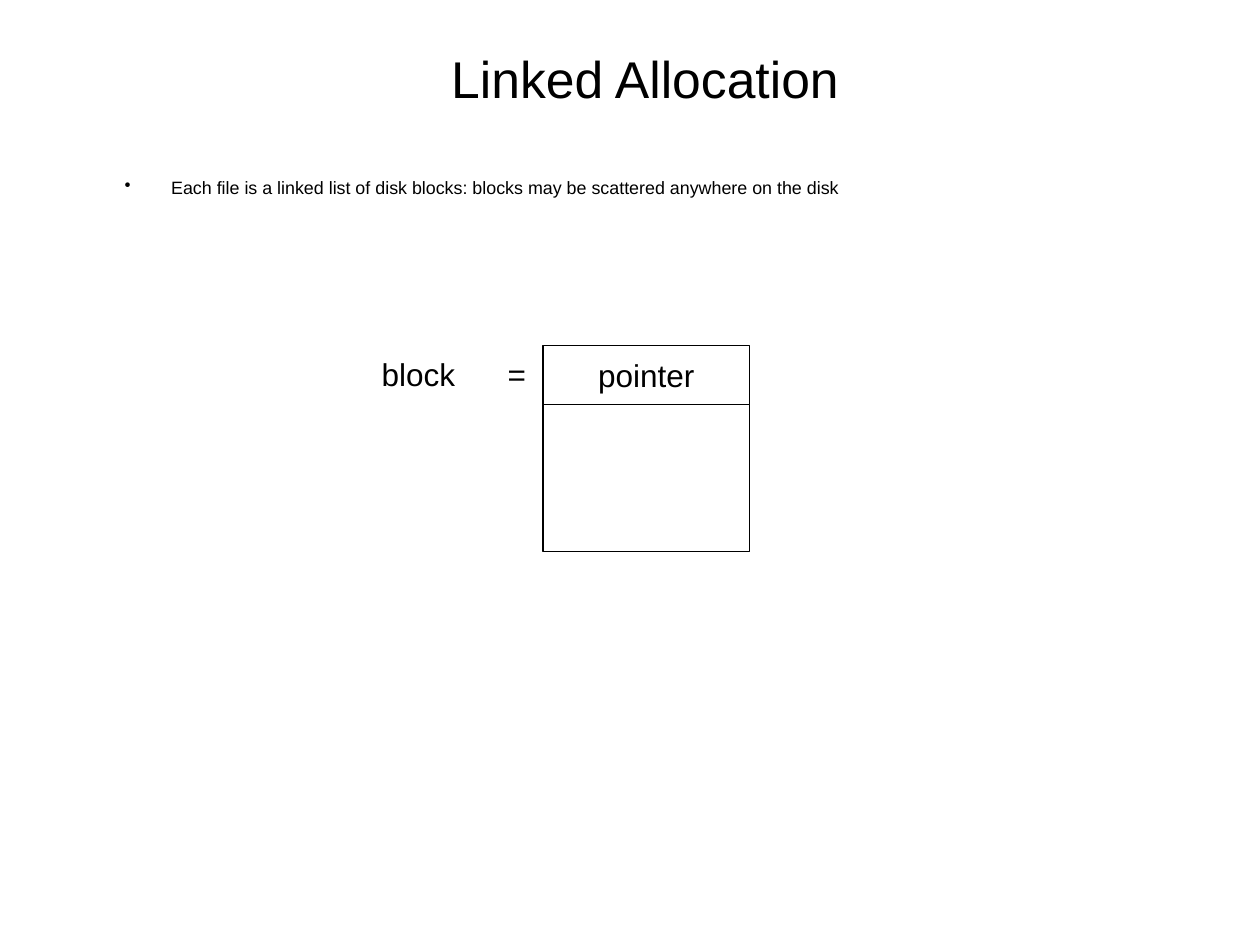
import pptx
import pptx.util
import pptx.dml.color
import pptx.enum.shapes
import pptx.enum.text
import lxml.etree

WIDTH, HEIGHT = 10, 7.5
INK, PAPER, FONT = "000000", "FFFFFF", "Arial"
TITLE = "Linked Allocation"
BULLET = "Each file is a linked list of disk blocks: blocks may be scattered anywhere on the disk"
BLOCK_LABEL = "block\t="
BLOCK_LEFT, BLOCK_TOP, BLOCK_WIDTH = 4.31, 2.74, 1.64
BLOCK_PARTS = [("pointer", 0.47), ("", 1.17)]

presentation = pptx.Presentation()
presentation.slide_width = pptx.util.Inches(WIDTH)
presentation.slide_height = pptx.util.Inches(HEIGHT)
slide = presentation.slides.add_slide(presentation.slide_layouts[6])


def color(value):
    return pptx.dml.color.RGBColor.from_string(value)


def inches(*values):
    return [pptx.util.Inches(value) for value in values]


def add_child(parent, tag, **attributes):
    name = pptx.oxml.ns.qn(tag)
    return lxml.etree.SubElement(parent, name, attributes)


def write(shape, text, size, align="CENTER", anchor="MIDDLE", before=0, wrap=True):
    frame = shape.text_frame
    frame.word_wrap = wrap
    frame.vertical_anchor = getattr(pptx.enum.text.MSO_ANCHOR, anchor)
    paragraph = frame.paragraphs[0]
    paragraph.alignment = getattr(pptx.enum.text.PP_ALIGN, align)
    paragraph.space_before = pptx.util.Pt(before)
    run = paragraph.add_run()
    run.text = text
    run.font.size = pptx.util.Pt(size)
    run.font.name = FONT
    run.font.color.rgb = color(INK)
    return paragraph


def add_text(place, text, size, **options):
    box = slide.shapes.add_textbox(*inches(*place))
    return write(box, text, size, **options)


add_text((0.74, 0.3, 8.76, 0.63), TITLE, 29.5)

bullet = add_text((0.88, 1.35, 8.29, 0.82), BULLET, 10.2,
                  align="LEFT", anchor="TOP", before=6.4)
properties = bullet._p.get_or_add_pPr()
margin, indent = inches(0.38, -0.37)
properties.set("marL", str(margin))
properties.set("indent", str(indent))
add_child(add_child(properties, "a:buClr"), "a:srgbClr", val=INK)
add_child(properties, "a:buChar", char="•")

top = BLOCK_TOP
for text, height in BLOCK_PARTS:
    part = slide.shapes.add_shape(pptx.enum.shapes.MSO_SHAPE.RECTANGLE,
                                  *inches(BLOCK_LEFT, top, BLOCK_WIDTH, height))
    part.shadow.inherit = False
    part.fill.solid()
    part.fill.fore_color.rgb = color(PAPER)
    part.line.color.rgb = color(INK)
    part.line.width = pptx.util.Pt(0.75)
    if text:
        write(part, text, 18, wrap=False)
    top += height

label = add_text((2.93, 2.77, 1.35, 0.4), BLOCK_LABEL, 18, align="LEFT", before=9)
tabs = add_child(label._p.get_or_add_pPr(), "a:tabLst")
add_child(tabs, "a:tab", pos=str(pptx.util.Inches(1)), algn="l")

presentation.save("out.pptx")
